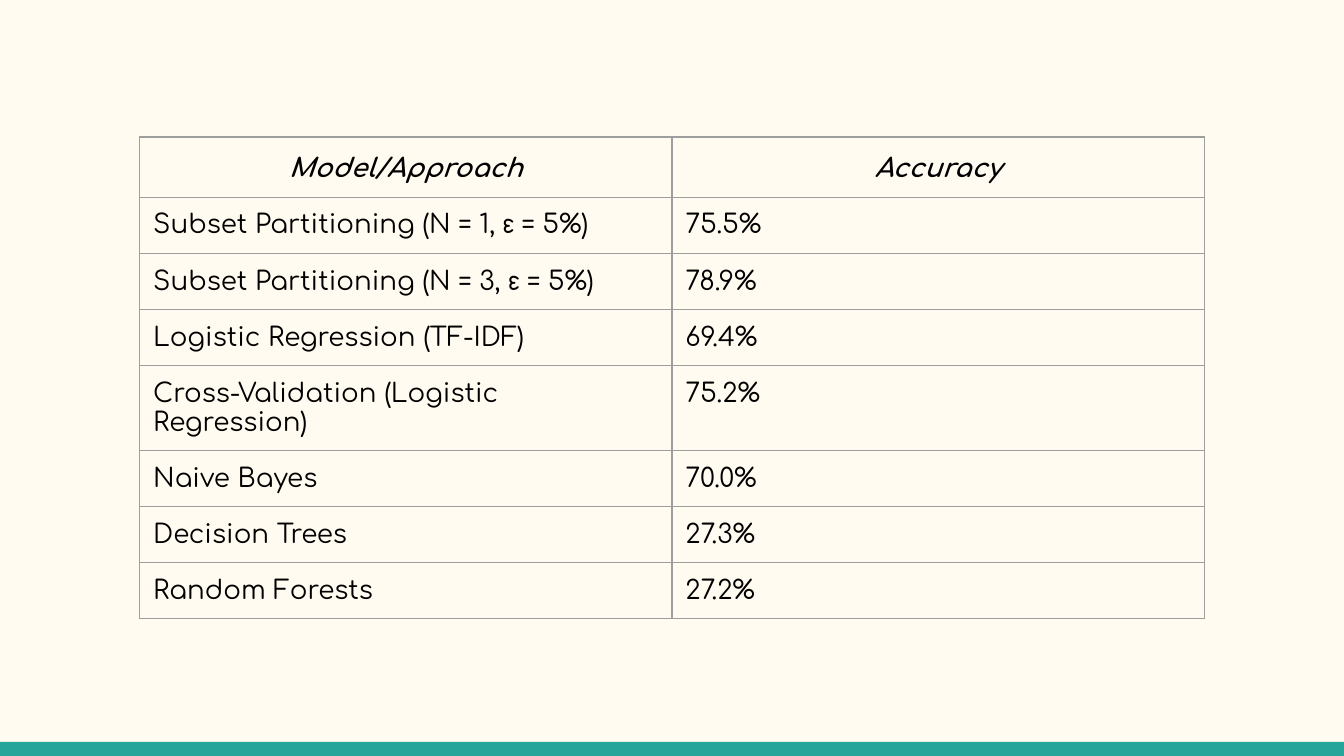
from lxml import etree
from pptx import Presentation
from pptx.dml.color import RGBColor
from pptx.enum import shapes, text
from pptx.oxml import ns
from pptx.util import Inches, Pt

COLORS = {"paper": "FFFBF0", "teal": "26A69A", "ink": "000000", "rule": "9E9E9E"}
FONT = "Comfortaa"
HEAD = ("Model/Approach", "Accuracy")
SCORES = [
    ("Subset Partitioning (N = 1, ε = 5%)", "75.5%"),
    ("Subset Partitioning (N = 3, ε = 5%)", "78.9%"),
    ("Logistic Regression (TF-IDF)", "69.4%"),
    ("Cross-Validation (Logistic Regression)", "75.2%"),
    ("Naive Bayes", "70.0%"),
    ("Decision Trees", "27.3%"),
    ("Random Forests", "27.2%"),
]


def color(name):
    return RGBColor.from_string(COLORS[name])


def write(frame, words, size=14, bold=False, italic=False, align=None, space=None):
    para = frame.paragraphs[0]
    para.alignment = align
    para.line_spacing = space
    run = para.add_run()
    run.text = words
    font = run.font
    font.name, font.size = FONT, Pt(size)
    font.bold, font.italic = bold, italic
    font.color.rgb = color("ink")


def rule(cell, width=0.75):
    """Draw all four borders, ahead of the cell's fill."""
    props = cell._tc.get_or_add_tcPr()
    for i, side in enumerate(("lnL", "lnR", "lnT", "lnB")):
        line = etree.Element(ns.qn(f"a:{side}"), w=str(Pt(width)))
        fill = etree.SubElement(line, ns.qn("a:solidFill"))
        etree.SubElement(fill, ns.qn("a:srgbClr"), val=COLORS["rule"])
        props.insert(i, line)


def add_scores(slide, left, top, width, height):
    rows = [HEAD] + SCORES
    frame = slide.shapes.add_table(
        len(rows), len(HEAD), Inches(left), Inches(top), Inches(width), Inches(height))
    table = frame.table
    table.first_row = table.horz_banding = False
    for r, row in enumerate(rows):
        for c, words in enumerate(row):
            cell = table.cell(r, c)
            cell.fill.background()
            cell.margin_left = cell.margin_right = Inches(0.1)
            cell.margin_top = cell.margin_bottom = Inches(0.1)
            rule(cell)
            if r == 0:
                write(cell.text_frame, words, bold=True, italic=True,
                      align=text.PP_ALIGN.CENTER, space=1.15)
            else:
                write(cell.text_frame, words)


def add_band(slide, left, top, width, height):
    band = slide.shapes.add_shape(
        shapes.MSO_SHAPE.RECTANGLE,
        Inches(left), Inches(top), Inches(width), Inches(height))
    band.shadow.inherit = False
    band.fill.solid()
    band.fill.fore_color.rgb = color("teal")
    band.line.fill.background()


def main():
    deck = Presentation()
    # Widescreen, 16:9
    deck.slide_width = Inches(10)
    deck.slide_height = deck.slide_width * 9 // 16
    slide = deck.slides.add_slide(deck.slide_layouts[6])
    back = slide.background.fill
    back.solid()
    back.fore_color.rgb = color("paper")

    # Footer band
    add_band(slide, 0, 5.52, 10, 0.11)
    # Accuracy by model
    add_scores(slide, 1.04, 1.02, 7.92, 3.33)
    deck.save("out.pptx")


if __name__ == "__main__":
    main()
